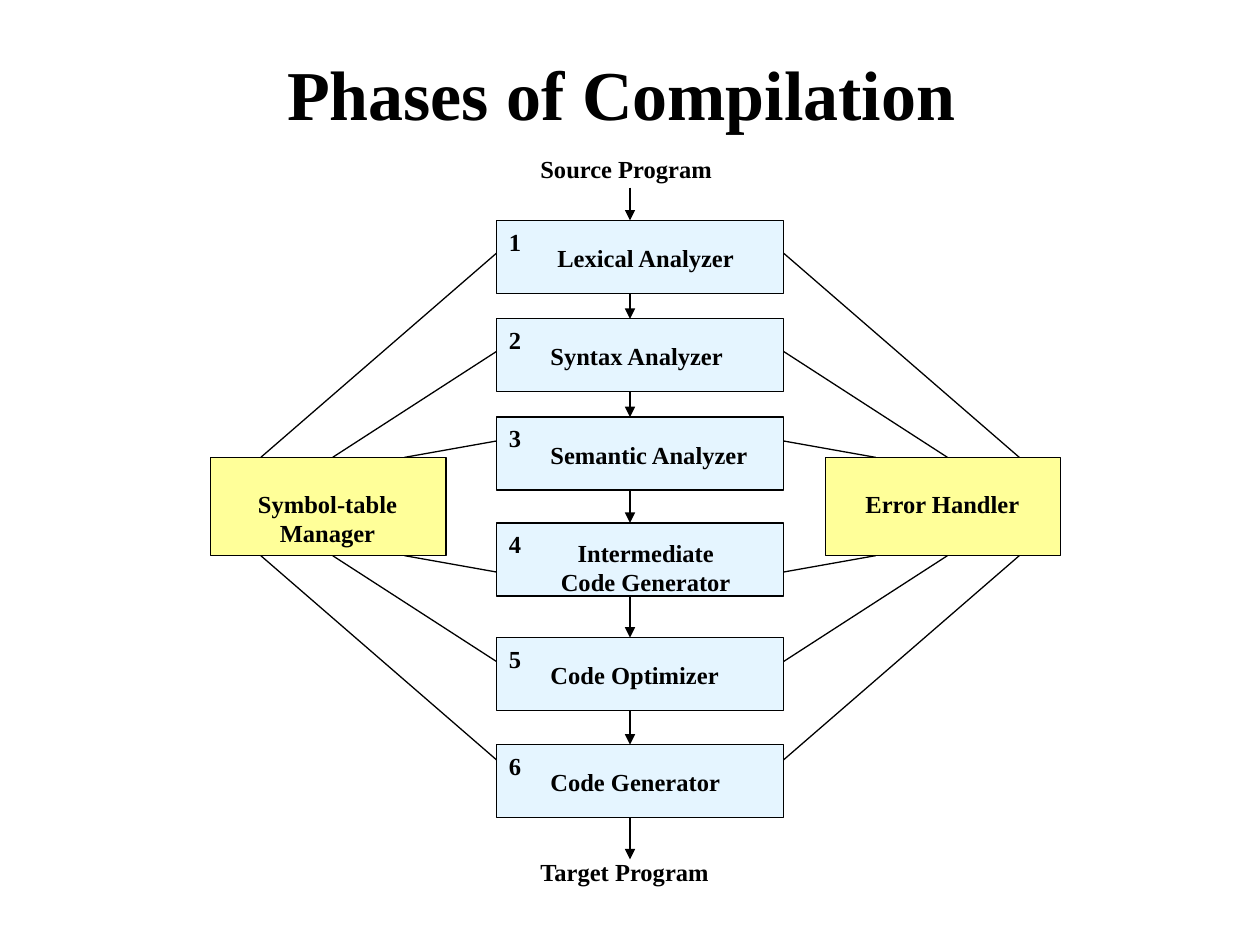
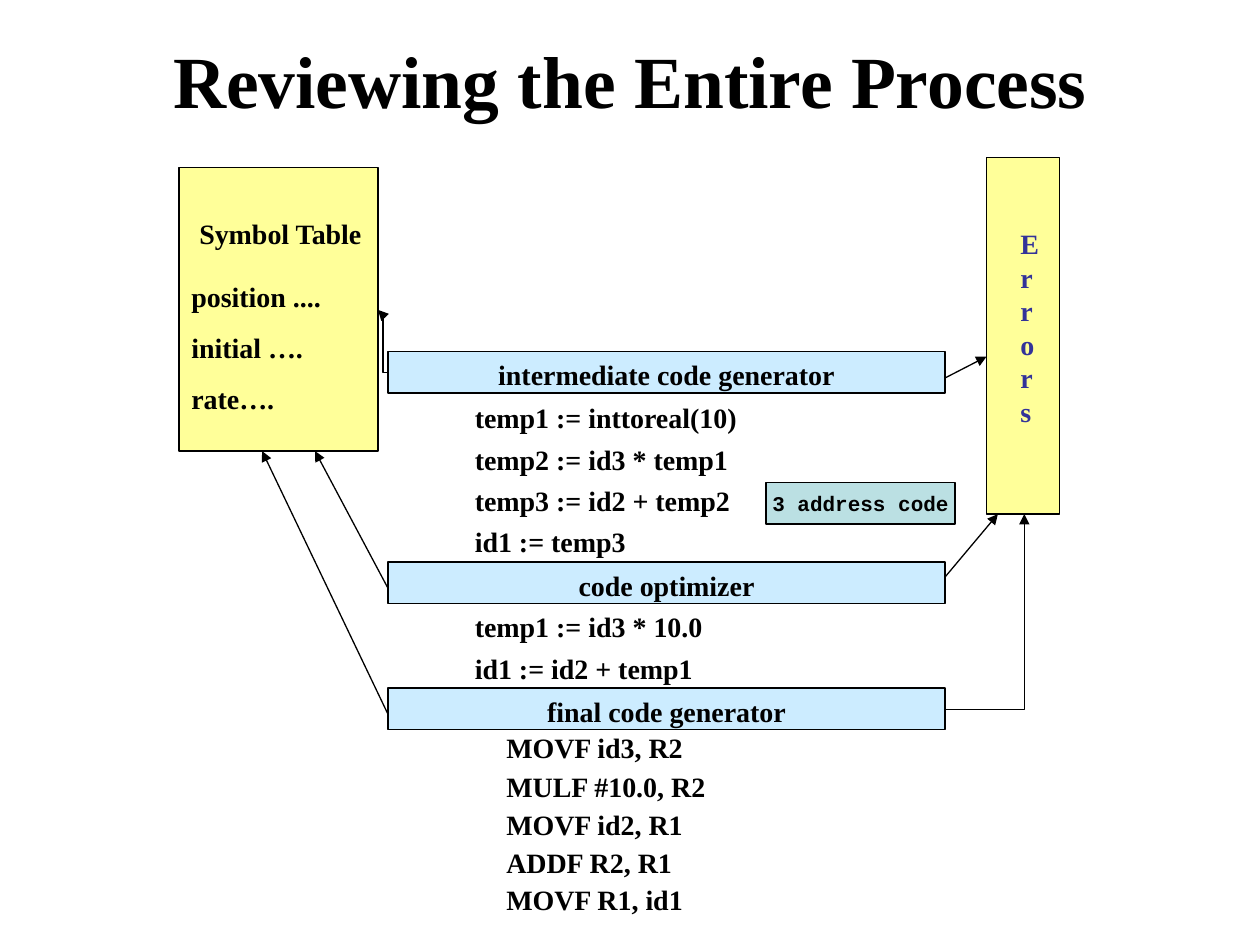
from lxml import etree
from pptx import Presentation
from pptx.dml.color import RGBColor
from pptx.enum.shapes import MSO_CONNECTOR, MSO_SHAPE
from pptx.enum.text import MSO_ANCHOR, MSO_AUTO_SIZE, PP_ALIGN
from pptx.oxml.ns import qn
from pptx.util import Inches, Pt

LEFT, CENTER = PP_ALIGN.LEFT, PP_ALIGN.CENTER
MIDDLE = MSO_ANCHOR.MIDDLE
NO_FIT, GROW = MSO_AUTO_SIZE.NONE, MSO_AUTO_SIZE.SHAPE_TO_FIT_TEXT
STRAIGHT, ELBOW = MSO_CONNECTOR.STRAIGHT, MSO_CONNECTOR.ELBOW
RECTANGLE = MSO_SHAPE.RECTANGLE
TITLE_ONLY = 5

SERIF, MONOSPACE = "Times New Roman", "Courier New"
BLACK, YELLOW, BLUE = "000000", "FFFF99", "CCECFF"
TEAL, INDIGO = "BBE0E3", "333399"


def color(hex_string):
    return RGBColor.from_string(hex_string)


def write(frame, text, size, font=SERIF, ink=BLACK, align=LEFT,
          space_before=0, later_spacing=None):
    """Fill a text frame, one paragraph a line; later_spacing applies after the first."""
    for index, line in enumerate(text.split("\n")):
        paragraph = frame.paragraphs[0] if index == 0 else frame.add_paragraph()
        paragraph.alignment = align
        paragraph.space_before = Pt(space_before)
        if index and later_spacing:
            paragraph.line_spacing = later_spacing
        run = paragraph.add_run()
        run.text = line
        run.font.name = font
        run.font.size = Pt(size)
        run.font.bold = True
        run.font.color.rgb = color(ink)


class Deck:
    def __init__(self):
        self.presentation = Presentation()
        self.presentation.slide_width = Inches(10)
        self.presentation.slide_height = Inches(7.5)
        self.slide = None
        self.text_size = None

    def start_slide(self, title, top, height, title_size, text_size):
        layout = self.presentation.slide_layouts[TITLE_ONLY]
        self.slide = self.presentation.slides.add_slide(layout)
        self.text_size = text_size
        shape = self.slide.shapes.title
        shape.left, shape.top = Inches(0.5), Inches(top)
        shape.width, shape.height = Inches(9), Inches(height)
        shape.text_frame.auto_size = NO_FIT
        shape.text_frame.vertical_anchor = MIDDLE
        write(shape.text_frame, title, title_size, align=CENTER)

    def box(self, left, top, width, height, fill, opacity=100, line_width=0.75):
        shape = self.slide.shapes.add_shape(
            RECTANGLE, Inches(left), Inches(top), Inches(width), Inches(height))
        shape.shadow.inherit = False
        shape.fill.solid()
        shape.fill.fore_color.rgb = color(fill)
        if opacity < 100:
            fill_color = shape.element.spPr.find(qn("a:solidFill")).find(qn("a:srgbClr"))
            etree.SubElement(fill_color, qn("a:alpha"), val=str(opacity * 1000))
        shape.line.color.rgb = color(BLACK)
        shape.line.width = Pt(line_width)
        return shape

    def label(self, text, left, top, width, height, wrap=True, **text_format):
        shape = self.slide.shapes.add_textbox(
            Inches(left), Inches(top), Inches(width), Inches(height))
        shape.text_frame.word_wrap = wrap
        shape.text_frame.auto_size = GROW
        write(shape.text_frame, text, self.text_size,
              space_before=self.text_size * 0.625, **text_format)

    def line(self, start, end, arrow=False, kind=STRAIGHT, preset=None):
        ends = [Inches(value) for value in (*start, *end)]
        connector = self.slide.shapes.add_connector(kind, *ends)
        connector.line.color.rgb = color(BLACK)
        connector.line.width = Pt(0.75)
        properties = connector.element.spPr
        if preset:
            properties.find(qn("a:prstGeom")).set("prst", preset)
        if arrow:
            etree.SubElement(properties.find(qn("a:ln")), qn("a:tailEnd"), type="triangle")
        etree.SubElement(properties, qn("a:effectLst"))


def build_phases(deck):
    deck.start_slide("Phases of Compilation ", 0.3, 0.87, title_size=40, text_size=14)
    phase_left, phase_width, phase_height = 3.94, 2.28, 0.58
    # name, top of the box, drop of the label, label width, alignment
    phases = [
        ("Lexical Analyzer", 1.75, 0.13, 1.71, CENTER),
        ("Syntax Analyzer", 2.53, 0.13, 1.7, LEFT),
        ("Semantic Analyzer", 3.31, 0.13, 2.36, LEFT),
        ("Intermediate Code Generator", 4.15, 0.07, 1.71, CENTER),
        ("Code Optimizer", 5.06, 0.13, 1.71, LEFT),
        ("Code Generator", 5.91, 0.13, 1.7, LEFT),
    ]
    deck.label("Source Program", 4.19, 1.17, 2.19, 0.34)
    arrow_start = 1.49
    for number, (name, top, drop, label_width, align) in enumerate(phases, 1):
        deck.box(phase_left, top, phase_width, phase_height, BLUE, opacity=50)
        label_height = 0.57 if number == 4 else 0.34
        deck.label(name, 4.27, top + drop, label_width, label_height, align=align)
        deck.label(str(number), phase_left, top, 0.24, 0.34)
        deck.line((5, arrow_start), (5, top), arrow=True)
        arrow_start = top + phase_height
    deck.line((5, arrow_start), (5, 6.82), arrow=True)
    deck.label("Target Program", 4.19, 6.75, 2.19, 0.34)

    helper_top, helper_height = 3.63, 0.78
    helpers = [("Symbol-table Manager", 1.67, 0.57), ("Error Handler", 6.55, 0.34)]
    for name, left, label_height in helpers:
        deck.box(left, helper_top, 1.87, helper_height, YELLOW)
        deck.label(name, left + 0.16, helper_top + 0.2, 1.54, label_height, align=CENTER)

    # The spokes are mirrored around the middle of the diagram both ways.
    mirror_x = 2 * phase_left + phase_width
    mirror_y = 2 * helper_top + helper_height
    for helper_x, phase_y in [(2.07, 2.01), (2.64, 2.79), (3.21, 3.5)]:
        for start_y, end_y in [(phase_y, helper_top),
                               (mirror_y - phase_y, mirror_y - helper_top)]:
            deck.line((phase_left, start_y), (helper_x, end_y))
            deck.line((mirror_x - phase_left, start_y), (mirror_x - helper_x, end_y))


def build_review(deck):
    deck.start_slide("Reviewing the Entire Process", 0, 1.25, title_size=42, text_size=16)
    deck.box(7.83, 1.25, 0.58, 2.83, YELLOW)
    deck.label("Errors", 8, 1.75, 0.33, 1.7, ink=INDIGO)

    stages = [("intermediate code generator", 2.79), ("code optimizer", 4.46),
              ("final code generator", 5.46)]
    for name, top in stages:
        deck.box(3.08, top, 4.42, 0.33, BLUE)
        deck.label(name, 3.25, top, 4.08, 0.37, align=CENTER)

    deck.label("temp1 := inttoreal(10)\ntemp2 := id3 * temp1\n"
               "temp3 := id2 + temp2\nid1 := temp3",
               3.67, 3.13, 3.67, 1.35, later_spacing=0.7)
    deck.label("temp1 := id3 * 10.0\nid1 := id2 + temp1",
               3.67, 4.79, 3.67, 0.69, later_spacing=0.7)
    deck.label("MOVF id3, R2\nMULF #10.0, R2\nMOVF id2, R1\nADDF R2, R1\nMOVF R1, id1",
               3.92, 5.75, 2.33, 1.56, later_spacing=0.6)

    deck.box(1.42, 1.33, 1.58, 2.25, YELLOW)
    deck.label("position ....\ninitial ….\nrate….", 1.42, 2.17, 1.58, 1.18)
    deck.label("Symbol Table", 1.47, 1.67, 1.51, 0.37, wrap=False, align=CENTER)

    deck.line((3.08, 2.96), (3, 2.46), arrow=True, kind=ELBOW)
    deck.line((7.5, 5.63), (8.13, 4.08), arrow=True, kind=ELBOW, preset="bentConnector2")
    for start, end in [((3.08, 4.67), (2.5, 3.58)), ((3.08, 5.67), (2.08, 3.58)),
                       ((7.5, 4.58), (7.92, 4.08)), ((7.5, 3), (7.83, 2.83))]:
        deck.line(start, end, arrow=True)

    note = deck.box(6.08, 3.83, 1.5, 0.33, TEAL, line_width=1)
    note.text_frame.word_wrap = False
    note.text_frame.vertical_anchor = MIDDLE
    write(note.text_frame, "3 address code", 12, font=MONOSPACE, align=CENTER)


def main():
    deck = Deck()
    build_phases(deck)
    build_review(deck)
    deck.presentation.save("out.pptx")


if __name__ == "__main__":
    main()
